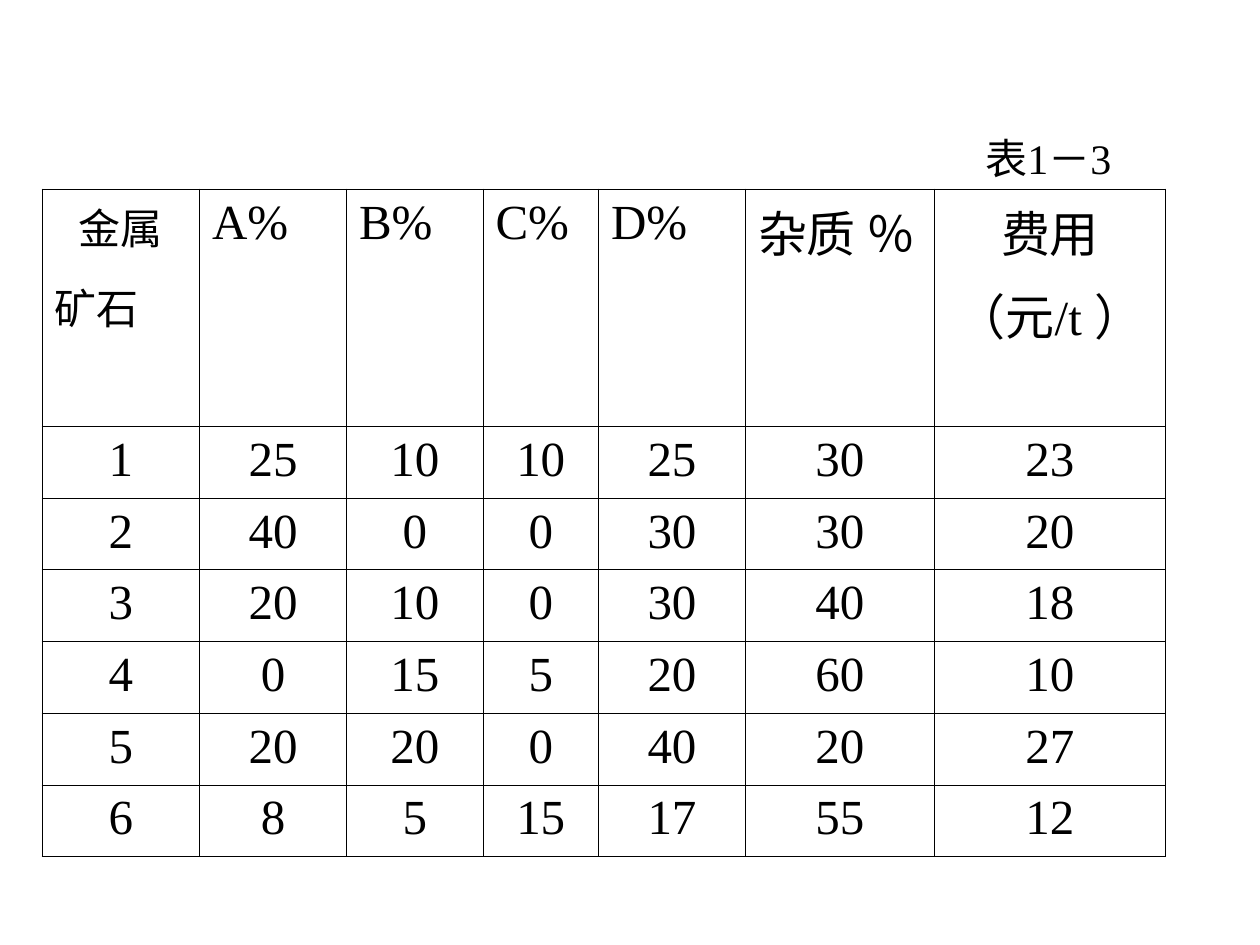
from lxml import etree
from pptx import Presentation
from pptx.dml import color
from pptx.enum import text
from pptx.oxml import ns
from pptx.util import Pt

FONT = "Times New Roman"
INK = "000000"
HEADINGS = ["金属\n矿石", "A%", "B%", "C%", "D%", "杂质 ％", "费用\n（元/t ）"]
ORES = [
    [1, 25, 10, 10, 25, 30, 23],
    [2, 40, 0, 0, 30, 30, 20],
    [3, 20, 10, 0, 30, 40, 18],
    [4, 0, 15, 5, 20, 60, 10],
    [5, 20, 20, 0, 40, 20, 27],
    [6, 8, 5, 15, 17, 55, 12],
]
COLUMN_WIDTHS = [90, 84, 78, 66, 84, 108, 132]
HEADER_HEIGHT, ROW_HEIGHT = 115, 41


def rgb(value):
    """Return the colour for a hex string."""
    return color.RGBColor.from_string(value)


def write(frame, words, size, align=text.PP_ALIGN.LEFT, gap=7):
    """Fill a text frame, with a gap before every paragraph but the first."""
    frame.text = words
    for index, para in enumerate(frame.paragraphs):
        para.alignment = align
        para.space_before = Pt(gap if index else 0)
        for span in para.runs:
            span.font.name = FONT
            span.font.size = Pt(size)
            span.font.color.rgb = rgb(INK)


def add_borders(cell, width):
    """Draw a solid line on all four sides of a cell."""
    properties = cell._tc.get_or_add_tcPr()
    for index, side in enumerate(("a:lnL", "a:lnR", "a:lnT", "a:lnB")):
        line = etree.Element(ns.qn(side), w=str(int(Pt(width))))
        fill = etree.SubElement(line, ns.qn("a:solidFill"))
        etree.SubElement(fill, ns.qn("a:srgbClr"), val=INK)
        properties.insert(index, line)


def add_ore_table(page, left, top):
    """Add the table of ore contents and costs."""
    rows = [HEADINGS] + ORES
    height = HEADER_HEIGHT + ROW_HEIGHT * len(ORES)
    table = page.shapes.add_table(
        len(rows), len(HEADINGS), Pt(left), Pt(top), Pt(sum(COLUMN_WIDTHS)), Pt(height)
    ).table
    table.first_row = table.horz_banding = False
    for column, width in zip(table.columns, COLUMN_WIDTHS):
        column.width = Pt(width)
    for row_index, values in enumerate(rows):
        table.rows[row_index].height = Pt(ROW_HEIGHT if row_index else HEADER_HEIGHT)
        for column_index, value in enumerate(values):
            cell = table.cell(row_index, column_index)
            corner = row_index == column_index == 0
            centred = row_index or column_index in (0, len(HEADINGS) - 1)
            align = text.PP_ALIGN.CENTER if centred else text.PP_ALIGN.LEFT
            write(cell.text_frame, str(value), 24 if corner else 28, align, 11 if corner else 7)
            cell.fill.background()
            add_borders(cell, 0.45)
    table.cell(0, 0).text_frame.paragraphs[1].alignment = text.PP_ALIGN.LEFT


def add_caption(page, words, left, top, width, height):
    """Add the table number above the table."""
    box = page.shapes.add_textbox(Pt(left), Pt(top), Pt(width), Pt(height))
    box.text_frame.word_wrap = False
    box.text_frame.auto_size = text.MSO_AUTO_SIZE.SHAPE_TO_FIT_TEXT
    write(box.text_frame, words, 24)


def main():
    """Build the slide and save the deck."""
    deck = Presentation()
    deck.slide_width, deck.slide_height = Pt(720), Pt(540)
    page = deck.slides.add_slide(deck.slide_layouts[6])
    add_ore_table(page, 24, 108)
    add_caption(page, "表1－3", 556, 72, 104, 36)
    deck.save("out.pptx")


if __name__ == "__main__":
    main()
